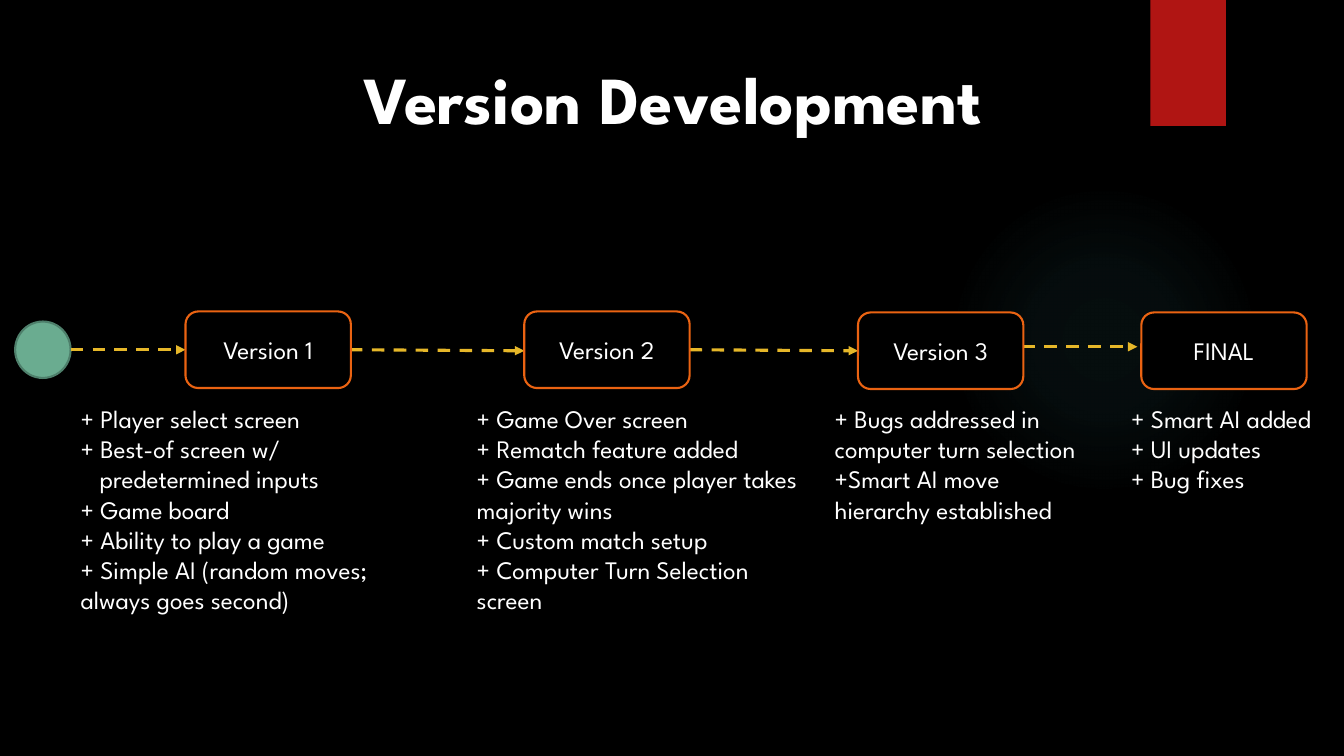
from dataclasses import dataclass

from lxml import etree
from pptx import Presentation
from pptx.dml.color import RGBColor
from pptx.enum import dml, shapes, text
from pptx.oxml import ns, parse_xml
from pptx.util import Inches, Pt

COLORS = {
    "background": "000000",
    "text": "FFFFFF",
    "glow": "50B9C1",
    "ribbon": "B01513",
    "start": "6AAC90",
    "start_line": "4E7F6B",
    "arrow": "E6B729",
    "box_line": "EA6312",
}
FONT = "League Spartan"
BOX_WIDTH, BOX_HEIGHT = 1.64, 0.76
LIST_TOP = 3.95
CONTINUATION = "\t"  # marks a line that hangs under the item above it
CONTINUATION_INDENT = 0.19


@dataclass
class Version:
    label: str
    box_left: float
    box_top: float
    list_left: float
    list_width: float
    list_height: float
    items: list[str]


@dataclass
class Arrow:
    start_x: float
    start_y: float
    end_x: float
    end_y: float


VERSIONS = [
    Version("Version 1", 1.84, 3.09, 0.7, 3.72, 2.22, [
        "+ Player select screen",
        "+ Best-of screen w/",
        CONTINUATION + "predetermined inputs",
        "+ Game board",
        "+ Ability to play a game",
        "+ Simple AI (random moves; always goes second)",
    ]),
    Version("Version 2", 5.2, 3.09, 4.63, 3.55, 2.52, [
        "+ Game Over screen",
        "+ Rematch feature added",
        "+ Game ends once player takes majority wins",
        "+ Custom match setup",
        "+ Computer Turn Selection screen",
    ]),
    Version("Version 3", 8.51, 3.1, 8.18, 2.84, 1.92, [
        "+ Bugs addressed in computer turn selection",
        "+Smart AI move hierarchy established",
    ]),
    Version("FINAL", 11.32, 3.1, 11.12, 2.03, 1.62, [
        "+ Smart AI added",
        "+ UI updates",
        "+ Bug fixes",
    ]),
]
ARROWS = [
    Arrow(0.7, 3.47, 1.84, 3.47),
    Arrow(3.47, 3.47, 5.2, 3.48),
    Arrow(6.84, 3.47, 8.51, 3.48),
    Arrow(10.14, 3.44, 11.28, 3.44),
]


def color(name: str) -> RGBColor:
    return RGBColor.from_string(COLORS[name])


def write_text(frame, lines: list[str], *, size: float = 18, bold: bool = False,
               align=text.PP_ALIGN.LEFT, anchor=text.MSO_ANCHOR.TOP,
               line_spacing: float = 1.0) -> None:
    frame.word_wrap = True
    frame.auto_size = text.MSO_AUTO_SIZE.NONE
    frame.vertical_anchor = anchor
    for index, line in enumerate(lines):
        paragraph = frame.paragraphs[0] if index == 0 else frame.add_paragraph()
        paragraph.alignment = align
        paragraph.line_spacing = line_spacing
        if line.startswith(CONTINUATION):
            properties = paragraph._p.get_or_add_pPr()
            properties.set("marL", str(Inches(CONTINUATION_INDENT)))
        run = paragraph.add_run()
        run.text = line.removeprefix(CONTINUATION)
        run.font.name = FONT
        run.font.size = Pt(size)
        run.font.bold = bold
        run.font.color.rgb = color("text")


def add_shape(slide, kind, left: float, top: float, width: float, height: float,
              fill: str, line: str | None = None):
    shape = slide.shapes.add_shape(
        kind, Inches(left), Inches(top), Inches(width), Inches(height))
    shape.shadow.inherit = False
    shape.fill.solid()
    shape.fill.fore_color.rgb = color(fill)
    if line:
        shape.line.color.rgb = color(line)
        shape.line.width = Pt(1.5)
    else:
        shape.line.fill.background()
    return shape


def add_glow(slide) -> None:
    """Draw the faint circle that fades out from its centre."""
    glow = add_shape(slide, shapes.MSO_SHAPE.OVAL, 9.41, 1.83, 3.08, 3.08, "glow")
    stops = "".join(
        f'<a:gs pos="{position * 1000}"><a:srgbClr val="{COLORS["glow"]}">'
        f'<a:alpha val="{alpha * 1000}"/></a:srgbClr></a:gs>'
        for position, alpha in [(0, 7), (36, 6), (69, 0)])
    gradient = parse_xml(
        f'<a:gradFill {ns.nsdecls("a")}><a:gsLst>{stops}</a:gsLst><a:path path="circle">'
        '<a:fillToRect l="50000" t="50000" r="50000" b="50000"/></a:path></a:gradFill>')
    properties = glow._element.spPr
    properties.replace(properties.find(ns.qn("a:solidFill")), gradient)


def add_arrow(slide, arrow: Arrow) -> None:
    connector = slide.shapes.add_connector(
        shapes.MSO_CONNECTOR.STRAIGHT, Inches(arrow.start_x), Inches(arrow.start_y),
        Inches(arrow.end_x), Inches(arrow.end_y))
    connector.line.color.rgb = color("arrow")
    connector.line.width = Pt(2.25)
    connector.line.dash_style = dml.MSO_LINE.DASH
    etree.SubElement(connector.line._get_or_add_ln(), ns.qn("a:tailEnd"), type="triangle")
    etree.SubElement(connector._element.spPr, ns.qn("a:effectLst"))


def add_version(slide, version: Version) -> None:
    box = add_shape(slide, shapes.MSO_SHAPE.ROUNDED_RECTANGLE, version.box_left,
                    version.box_top, BOX_WIDTH, BOX_HEIGHT, "background", "box_line")
    write_text(box.text_frame, [version.label], align=text.PP_ALIGN.CENTER,
               anchor=text.MSO_ANCHOR.MIDDLE)
    changes = slide.shapes.add_textbox(
        Inches(version.list_left), Inches(LIST_TOP),
        Inches(version.list_width), Inches(version.list_height))
    write_text(changes.text_frame, version.items)


def add_title(slide, title: str) -> None:
    shape = slide.shapes.title
    shape.left, shape.top = Inches(0.92), Inches(0.61)
    shape.width, shape.height = Inches(11.5), Inches(1.45)
    write_text(shape.text_frame, [title], size=48, bold=True,
               align=text.PP_ALIGN.CENTER, line_spacing=0.9)


def main() -> None:
    presentation = Presentation()
    presentation.slide_width, presentation.slide_height = Inches(13.33), Inches(7.5)
    title_only = presentation.slide_layouts.get_by_name("Title Only")
    slide = presentation.slides.add_slide(title_only)
    slide.background.fill.solid()
    slide.background.fill.fore_color.rgb = color("background")

    add_title(slide, "Version Development")
    add_glow(slide)
    add_shape(slide, shapes.MSO_SHAPE.RECTANGLE, 11.41, 0, 0.75, 1.25, "ribbon")
    add_shape(slide, shapes.MSO_SHAPE.OVAL, 0.15, 3.19, 0.55, 0.56, "start", "start_line")
    for arrow in ARROWS:
        add_arrow(slide, arrow)
    for version in VERSIONS:
        add_version(slide, version)
    presentation.save("out.pptx")


if __name__ == "__main__":
    main()
